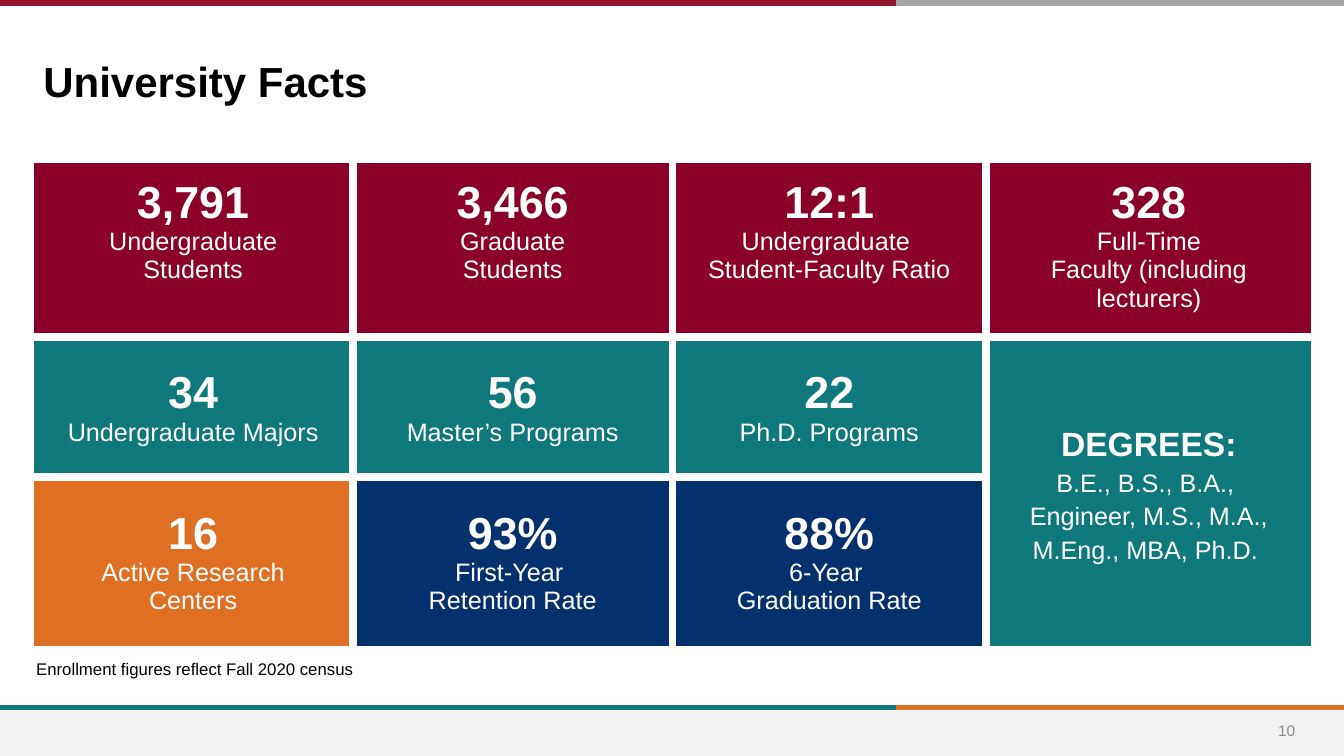
"""Builds the University Facts slide with its table of key figures."""
from dataclasses import dataclass

from lxml.etree import SubElement
from pptx import Presentation
from pptx.dml.color import RGBColor
from pptx.enum.shapes import MSO_CONNECTOR as Connector, MSO_SHAPE as Preset
from pptx.enum.text import MSO_ANCHOR as Anchor, MSO_AUTO_SIZE as AutoSize, PP_ALIGN as Align
from pptx.oxml.ns import qn
from pptx.util import Pt


@dataclass(frozen=True)
class Theme:
    font: str = "Arial"
    black: str = "000000"
    white: str = "FFFFFF"
    number_gray: str = "8C8C8C"
    footer_gray: str = "F2F2F2"
    bar_gray: str = "A6A6A6"
    bar_red: str = "90152A"
    crimson: str = "8A0028"
    teal: str = "0F787D"
    orange: str = "DF7023"
    navy: str = "04316D"
    title_size: float = 30
    figure_size: float = 32
    heading_size: float = 24
    caption_size: float = 18
    note_size: float = 12
    number_size: float = 11
    bar_width: float = 4
    gap_width: float = 6
    edge_width: float = 0.5
    cell_margin: float = 10.8


@dataclass(frozen=True)
class Fact:
    figure: str
    captions: tuple
    color: str
    size: float = Theme.figure_size
    line_spacing: float = 1.0
    row_span: int = 1


class SlideBuilder:
    def __init__(self, theme, slide):
        self.theme = theme
        self.slide = slide

    def style(self, paragraph, size, color, bold=False, align=Align.LEFT):
        paragraph.alignment = align
        font = paragraph.font
        font.name, font.size, font.bold = self.theme.font, Pt(size), bold
        font.color.rgb = RGBColor.from_string(color)

    def title(self, text, left, top, width, height):
        shape = self.slide.shapes.title
        shape.left, shape.top, shape.width, shape.height = map(Pt, (left, top, width, height))
        frame = shape.text_frame
        frame.text = text
        frame.auto_size = AutoSize.NONE
        frame.vertical_anchor = Anchor.BOTTOM
        frame.margin_bottom = 0
        self.style(frame.paragraphs[0], self.theme.title_size, self.theme.black, bold=True)

    def text(self, text, left, top, width, height, size, color,
             align=Align.LEFT, anchor=Anchor.TOP):
        frame = self.slide.shapes.add_textbox(*map(Pt, (left, top, width, height))).text_frame
        frame.word_wrap = True
        frame.vertical_anchor = anchor
        frame.text = text
        self.style(frame.paragraphs[0], size, color, align=align)

    def rectangle(self, left, top, width, height, color):
        shape = self.slide.shapes.add_shape(
            Preset.RECTANGLE, *map(Pt, (left, top, width, height)))
        shape.shadow.inherit = False
        shape.fill.solid()
        shape.fill.fore_color.rgb = RGBColor.from_string(color)
        shape.line.fill.background()

    def bar(self, start, end, y, color):
        line = self.slide.shapes.add_connector(
            Connector.STRAIGHT, *map(Pt, (start, y, end, y)))
        line.line.width = Pt(self.theme.bar_width)
        line.line.color.rgb = RGBColor.from_string(color)
        SubElement(line._element.spPr, qn("a:effectLst"))

    def border(self, cell, outer):
        properties = cell._tc.get_or_add_tcPr()
        for side, is_outer in zip("LRTB", outer):
            width = self.theme.edge_width if is_outer else self.theme.gap_width
            line = SubElement(properties, qn(f"a:ln{side}"), w=str(Pt(width)))
            fill = SubElement(line, qn("a:solidFill"))
            SubElement(fill, qn("a:srgbClr"), val=self.theme.white)

    def fact(self, cell, fact, anchor):
        theme = self.theme
        margin = Pt(theme.cell_margin)
        cell.margin_left = cell.margin_right = cell.margin_top = cell.margin_bottom = margin
        cell.vertical_anchor = anchor
        cell.fill.solid()
        cell.fill.fore_color.rgb = RGBColor.from_string(fact.color)
        frame = cell.text_frame
        for index, text in enumerate((fact.figure, *fact.captions)):
            paragraph = frame.add_paragraph() if index else frame.paragraphs[0]
            paragraph.text = text
            paragraph.line_spacing = fact.line_spacing
            size = theme.caption_size if index else fact.size
            self.style(paragraph, size, theme.white, bold=index == 0, align=Align.CENTER)

    def fact_table(self, facts, left, top, widths, heights):
        row_count, column_count = len(heights), len(widths)
        table = self.slide.shapes.add_table(
            row_count, column_count, *map(Pt, (left, top, sum(widths), sum(heights)))).table
        table.first_row = table.horz_banding = False
        for column, width in zip(table.columns, widths):
            column.width = Pt(width)
        for row, height in zip(table.rows, heights):
            row.height = Pt(height)
        for row, row_facts in enumerate(facts):
            anchor = Anchor.MIDDLE if row else Anchor.TOP
            for column, fact in enumerate(row_facts):
                cell = table.cell(row, column)
                last_row = row + fact.row_span - 1
                if fact.row_span > 1:
                    cell.merge(table.cell(last_row, column))
                self.border(cell, (column == 0, column == column_count - 1,
                                   row == 0, last_row == row_count - 1))
                self.fact(cell, fact, anchor)


def main():
    theme = Theme()
    presentation = Presentation()
    presentation.slide_width, presentation.slide_height = Pt(960), Pt(540)
    slide = presentation.slides.add_slide(presentation.slide_layouts[5])
    builder = SlideBuilder(theme, slide)

    builder.rectangle(0, 507.6, 960, 32.4, theme.footer_gray)
    for y, left_color, right_color in (
        (505.5, theme.teal, theme.orange),
        (2, theme.bar_red, theme.bar_gray),
    ):
        builder.bar(640, 960, y, right_color)
        builder.bar(0, 640, y, left_color)
    builder.text("10", 894.2, 507.6, 49.7, 28.8, theme.number_size, theme.number_gray,
                 align=Align.CENTER, anchor=Anchor.MIDDLE)
    builder.title("University Facts", 23.8, 33, 766.8, 42.5)

    facts = (
        (
            Fact("3,791", ("Undergraduate", "Students"), theme.crimson),
            Fact("3,466", ("Graduate", "Students"), theme.crimson),
            Fact("12:1", ("Undergraduate \vStudent-Faculty Ratio",), theme.crimson),
            Fact("328", ("Full-Time", "Faculty (including lecturers)"), theme.crimson),
        ),
        (
            Fact("34", ("Undergraduate Majors",), theme.teal),
            Fact("56", ("Master’s Programs",), theme.teal),
            Fact("22", ("Ph.D. Programs",), theme.teal),
            Fact("DEGREES:",
                 ("B.E., B.S., B.A., \vEngineer, M.S., M.A., M.Eng., MBA, Ph.D. ",),
                 theme.teal, theme.heading_size, line_spacing=1.2, row_span=2),
        ),
        (
            Fact("16", ("Active Research", "Centers"), theme.orange),
            Fact("93%", ("First-Year \vRetention Rate",), theme.navy),
            Fact("88%", ("6-Year ", "Graduation Rate"), theme.navy),
        ),
    )
    builder.fact_table(facts, 23.8, 116, (228.3, 228.3, 224, 232.5), (121, 100, 121))
    builder.text("Enrollment figures reflect Fall 2020 census", 18.7, 467.3, 383, 21.8,
                 theme.note_size, theme.black)
    presentation.save("out.pptx")


if __name__ == "__main__":
    main()
